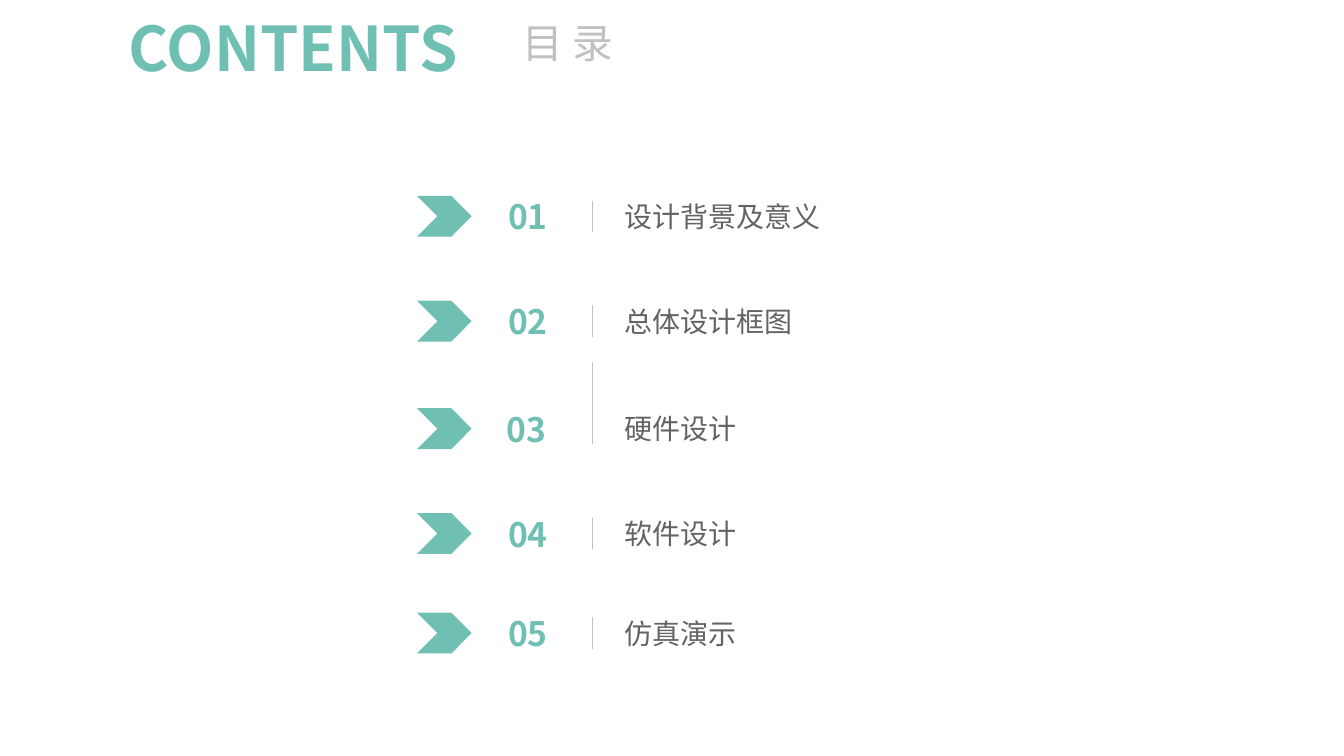
from lxml import etree
from pptx import Presentation
from pptx.dml.color import RGBColor
from pptx.enum import shapes, text
from pptx.oxml.ns import qn
from pptx.util import Pt

TEAL, SILVER, GREY = "6FBFB2", "C0C0C0", "636363"
HEAVY_FONT, BODY_FONT = "Noto Sans CJK SC", "Arial"
LEFT, CENTER = text.PP_ALIGN.LEFT, text.PP_ALIGN.CENTER
ROW_HEIGHT = 56.9
DIVIDER_X = 423.4

CHAPTERS = [
    ("01", "设计背景及意义", 154.5, 337, 143.3),
    ("02", "总体设计框图", 229.4, 337, 218.2),
    ("03", "硬件设计", 306.2, 336.2, 258.5),
    ("04", "软件设计", 381.1, 337, 369.9),
    ("05", "仿真演示", 452.2, 337, 441),
]


def color(value):
    return RGBColor.from_string(value)


def add_text(page, words, left, top, width, height, size, ink,
             font=HEAVY_FONT, bold=False, align=LEFT, spacing=None):
    box = page.shapes.add_textbox(Pt(left), Pt(top), Pt(width), Pt(height))
    frame = box.text_frame
    frame.word_wrap = True
    frame.vertical_anchor = text.MSO_ANCHOR.MIDDLE
    para = frame.paragraphs[0]
    para.text = words
    para.alignment = align
    para.line_spacing = spacing
    para.font.size = Pt(size)
    para.font.bold = bold
    para.font.color.rgb = color(ink)
    para.font.name = font
    defaults = para._p.pPr.find(qn("a:defRPr"))
    etree.SubElement(defaults, qn("a:ea"), typeface=HEAVY_FONT)


def add_arrow(page, middle):
    left, notch, shoulder, tip = 298, 312.6, 322.6, 337
    top, bottom = middle - 14.6, middle + 14.6
    outline = [(shoulder, top), (tip, middle), (shoulder, bottom),
               (left, bottom), (notch, middle)]
    builder = page.shapes.build_freeform(Pt(left), Pt(top))
    builder.add_line_segments([(Pt(x), Pt(y)) for x, y in outline])
    arrow = builder.convert_to_shape()
    arrow.shadow.inherit = False
    arrow.fill.solid()
    arrow.fill.fore_color.rgb = color(TEAL)
    arrow.line.fill.background()


def add_divider(page, top, bottom):
    divider = page.shapes.add_connector(
        shapes.MSO_CONNECTOR.STRAIGHT,
        Pt(DIVIDER_X), Pt(top), Pt(DIVIDER_X), Pt(bottom))
    divider.line.color.rgb = color(SILVER)
    divider.line.width = Pt(0.5)
    etree.SubElement(divider._element.spPr, qn("a:effectLst"))


def add_chapter(page, number, title, middle, number_left, divider_top):
    top = middle - ROW_HEIGHT / 2
    add_text(page, number, number_left, top, 80.6, ROW_HEIGHT, 24, TEAL,
             bold=True, align=CENTER)
    add_divider(page, divider_top, middle + 11.2)
    add_text(page, title, 439.2, top, 421.2, ROW_HEIGHT, 20, GREY,
             font=BODY_FONT)
    add_arrow(page, middle)


def main():
    deck = Presentation()
    deck.slide_width, deck.slide_height = Pt(960.5), Pt(540)
    page = deck.slides.add_slide(deck.slide_layouts[6])
    add_text(page, "CONTENTS", 85, 3.6, 351.4, 60.5, 44, TEAL, bold=True)
    add_text(page, "目 录", 350, 12.2, 111.6, 41, 29, SILVER,
             align=CENTER, spacing=0.9)
    for chapter in CHAPTERS:
        add_chapter(page, *chapter)
    deck.save("out.pptx")


if __name__ == "__main__":
    main()
